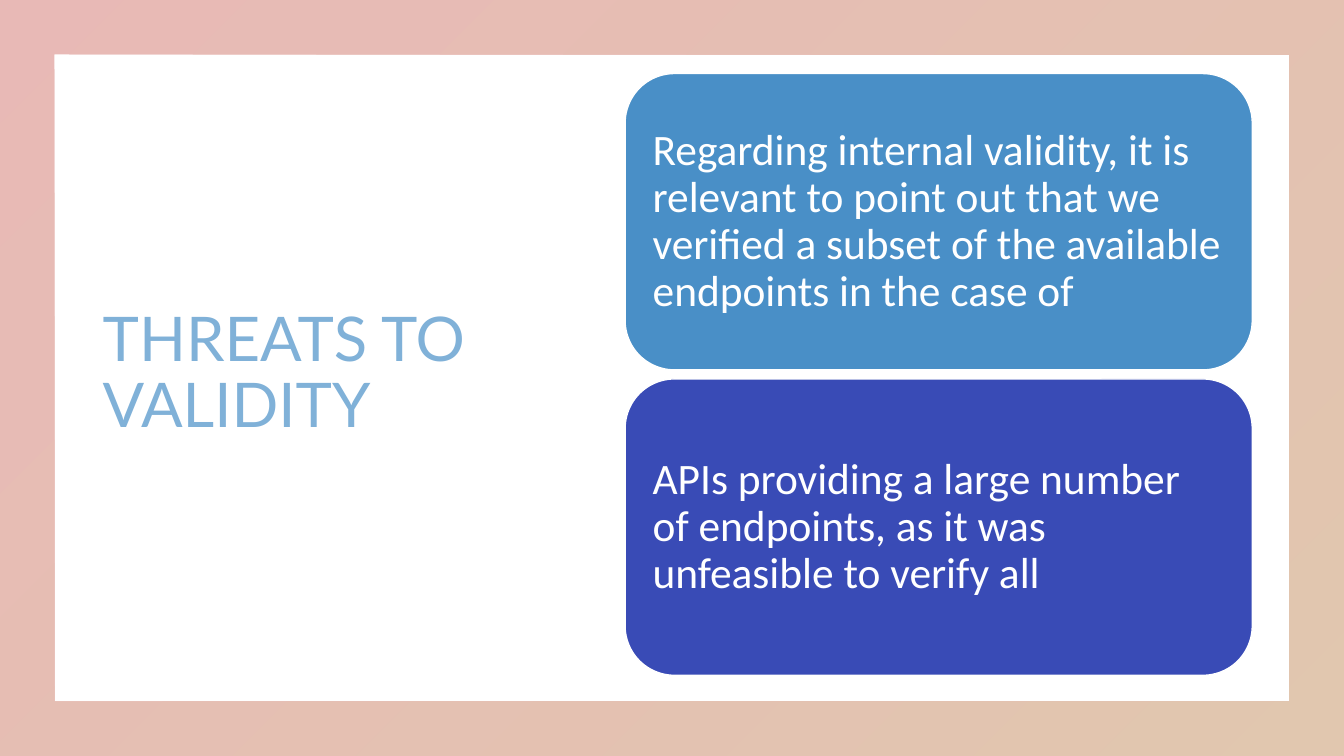
"""Build the slide on threats to validity."""
from lxml.etree import SubElement
from pptx import Presentation
from pptx.dml.color import RGBColor
from pptx.enum.shapes import MSO_SHAPE as Shape
from pptx.enum.text import MSO_ANCHOR as Anchor, PP_ALIGN as Align
from pptx.oxml.ns import qn
from pptx.util import Inches, Pt

TITLE = "THREATS TO VALIDITY"
CARDS = [
    ("498FC7", "Regarding internal validity, it is relevant to point out that we "
               "verified a subset of the available endpoints in the case of"),
    ("394BB6", "APIs providing a large number of endpoints, as it was "
               "unfeasible to verify all"),
]
WHITE, SKY = "FFFFFF", "80B1D8"
BORDER = ["C75149", "B57337"]
WIDE, HIGH = 13.33, 7.5
LEFT, TOP, CARD_W, CARD_H, GAP = 6.2, 0.73, 6.22, 2.94, 0.09


def color(code):
    return RGBColor.from_string(code)


def add_box(kind, *place):
    box = slide.shapes.add_shape(kind, *map(Inches, place))
    box.shadow.inherit = False
    box.line.fill.background()
    return box


def write(box, text, font, size, code, inset):
    frame = box.text_frame
    frame.text = text
    frame.word_wrap = True
    frame.vertical_anchor = Anchor.MIDDLE
    frame.margin_left = frame.margin_right = Inches(inset)
    frame.margin_top = frame.margin_bottom = Inches(inset)
    para = frame.paragraphs[0]
    para.alignment = Align.LEFT
    para.line_spacing = 0.9
    face = para.runs[0].font
    face.name, face.size = font, Pt(size)
    face.color.rgb = color(code)


deck = Presentation()
deck.slide_width, deck.slide_height = Inches(WIDE), Inches(HIGH)
slide = deck.slides.add_slide(deck.slide_layouts[6])
slide.background.fill.solid()
slide.background.fill.fore_color.rgb = color(WHITE)

border = add_box(Shape.FRAME, 0, 0, WIDE, HIGH)
border.adjustments[0] = 0.072
border.fill.gradient()
border.fill.gradient_angle = 315
for stop, code in zip(border.fill.gradient_stops, BORDER):
    stop.color.rgb = color(code)
for tint in border.fill._xPr.iter(qn("a:srgbClr")):
    SubElement(tint, qn("a:alpha"), val="40000")

title = slide.shapes.add_textbox(*map(Inches, (0.92, 0.67, 4.86, 6.09)))
write(title, TITLE, "Lato", 44, SKY, 0.1)

for row, (code, text) in enumerate(CARDS):
    card = add_box(Shape.ROUNDED_RECTANGLE,
                   LEFT, TOP + row * (CARD_H + GAP), CARD_W, CARD_H)
    card.fill.solid()
    card.fill.fore_color.rgb = color(code)
    card.line.color.rgb = color(WHITE)
    card.line.width = Pt(1)
    write(card, text, "Calibri", 31, WHITE, 0.13)

deck.save("out.pptx")
